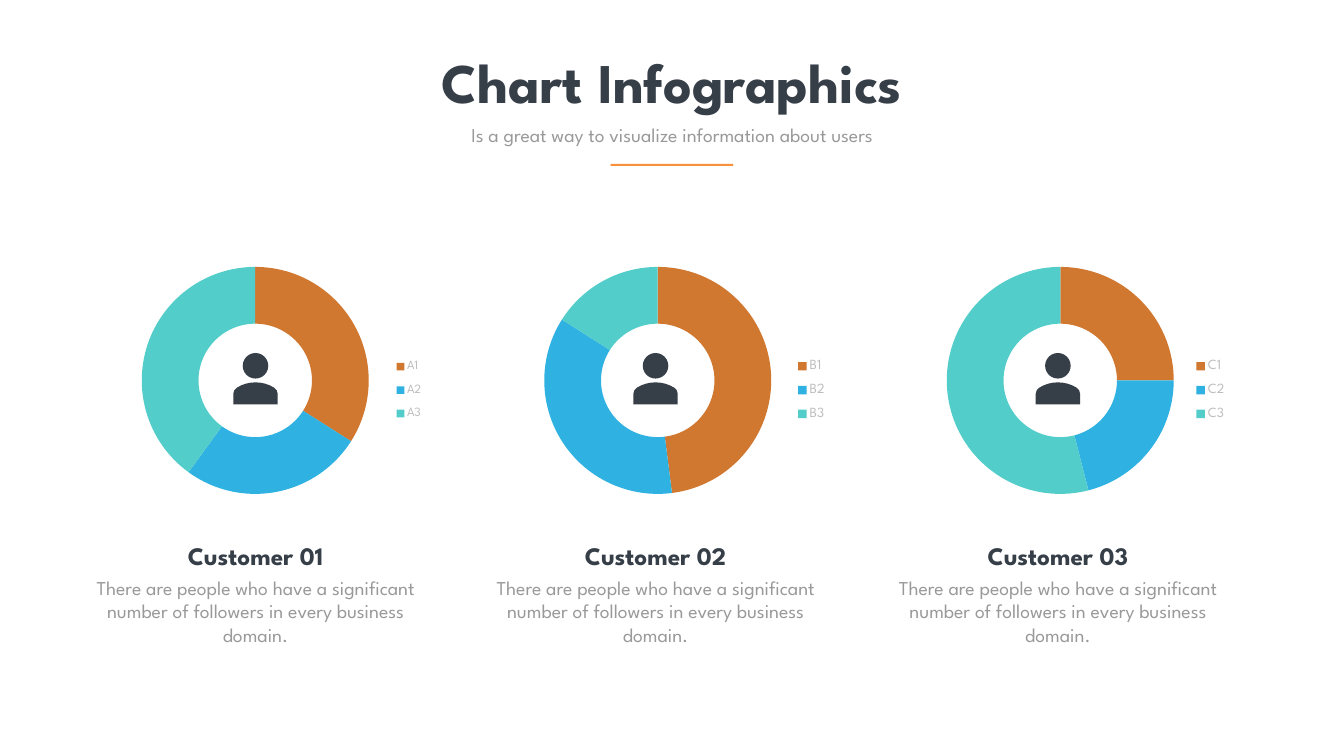
import pptx
import pptx.chart.data
import pptx.dml.color
import pptx.enum.chart
import pptx.enum.shapes
import pptx.enum.text
import pptx.oxml
import pptx.oxml.ns
import pptx.util

Pt = pptx.util.Pt
FONT = "League Spartan"
DARK, GREY, PALE, ACCENT = "363E48", "999999", "BDBDBD", "FB903A"
SLICE_COLOURS = ("D07730", "2FB2E1", "53CDCA")
DESCRIPTION = "There are people who have a significant number of followers in every business domain."


def colour(value):
    return pptx.dml.color.RGBColor.from_string(value)


def style_font(font, size, value, bold=False):
    font.name = FONT
    font.size = Pt(size)
    font.bold = bold
    font.color.rgb = colour(value)


def fill_plain(shape, value):
    shape.shadow.inherit = False
    shape.fill.solid()
    shape.fill.fore_color.rgb = colour(value)
    shape.line.fill.background()


def place(shape, left, top, width, height):
    shape.left, shape.top = Pt(left), Pt(top)
    shape.width, shape.height = Pt(width), Pt(height)


def write_centred(shape, text, size, value, bold=False):
    frame = shape.text_frame
    frame.text = text
    frame.word_wrap = True
    frame.auto_size = pptx.enum.text.MSO_AUTO_SIZE.SHAPE_TO_FIT_TEXT
    frame.vertical_anchor = pptx.enum.text.MSO_ANCHOR.TOP
    paragraph = frame.paragraphs[0]
    paragraph.alignment = pptx.enum.text.PP_ALIGN.CENTER
    style_font(paragraph.runs[0].font, size, value, bold)


def add_label(slide, box, text, size, value, bold=False):
    label = slide.shapes.add_textbox(*map(Pt, box))
    write_centred(label, text, size, value, bold)


def add_header(slide, left, top, width):
    title = slide.shapes.title
    place(title, left, top, width, 104.4)
    write_centred(title, "Chart Infographics", 80, DARK, True)
    add_label(slide, (left + 120, top + 107.4, width - 240, 41),
              "Is a great way to visualize information about users", 28, GREY)
    rule_width = 175
    rule = slide.shapes.add_shape(
        pptx.enum.shapes.MSO_SHAPE.RECTANGLE,
        Pt(left + (width - rule_width) / 2), Pt(top + 170), Pt(rule_width), Pt(3))
    fill_plain(rule, ACCENT)


def manual_layout(x, y, width, height, inner=False):
    target = '<c:layoutTarget val="inner"/>' if inner else ""
    return pptx.oxml.parse_xml(
        f'<c:layout {pptx.oxml.ns.nsdecls("c")}><c:manualLayout>{target}'
        '<c:xMode val="edge"/><c:yMode val="edge"/>'
        f'<c:x val="{x}"/><c:y val="{y}"/><c:w val="{width}"/><c:h val="{height}"/>'
        '</c:manualLayout></c:layout>')


def add_doughnut(slide, left, top, letter, values, size, legend_x):
    data = pptx.chart.data.CategoryChartData()
    data.categories = [f"{letter}{number}" for number in (1, 2, 3)]
    data.add_series("Series 1", values)
    chart = slide.shapes.add_chart(
        pptx.enum.chart.XL_CHART_TYPE.DOUGHNUT,
        Pt(left), Pt(top), Pt(517), Pt(345), data).chart
    chart.has_title = False
    style_font(chart.font, size, GREY)
    chart.has_legend = True
    chart.legend.position = pptx.enum.chart.XL_LEGEND_POSITION.RIGHT
    chart.legend.include_in_layout = False
    style_font(chart.legend.font, size, PALE)

    plot = chart.plots[0]
    plot.vary_by_categories = True
    for index, value in enumerate(SLICE_COLOURS):
        slice_format = plot.series[0].points[index].format
        slice_format.fill.solid()
        slice_format.fill.fore_color.rgb = colour(value)
        slice_format.line.fill.background()

    chart_space = chart.element
    chart_space.xpath(".//c:holeSize")[0].set("val", "75")
    for layout in chart_space.xpath(".//c:plotArea/c:layout | .//c:legend/c:layout"):
        layout.getparent().remove(layout)
    chart_space.xpath(".//c:plotArea")[0].insert(
        0, manual_layout(0.13, 0.03, 0.63, 0.94, inner=True))
    chart_space.xpath(".//c:legendPos")[0].addnext(
        manual_layout(legend_x, 0.37, 0.1, 0.34))


def bend(segments):
    curve = pptx.oxml.parse_xml(f'<a:cubicBezTo {pptx.oxml.ns.nsdecls("a")}/>')
    segments[0].addprevious(curve)
    for segment in segments:
        curve.append(segment[0])
        segment.getparent().remove(segment)
    return curve


def add_shoulders(slide, left, top, width, height):
    outline = [
        (58.4, 7.9),
        (42.5, 0), (20.9, 0), (5, 7.9),
        (2.2, 9.4), (0, 13), (0, 16.6),
        (0, height), (width, height), (width, 16.6),
        (width, 13), (61.2, 9.4), (58.4, 7.9),
    ]
    points = [(Pt(left + x), Pt(top + y)) for x, y in outline]
    builder = slide.shapes.build_freeform(*points[0])
    builder.add_line_segments(points[1:], close=True)
    shoulders = builder.convert_to_shape()
    lines = shoulders.element.xpath(".//a:lnTo")
    neckline = bend(lines[0:3])
    bend(lines[3:6])
    bend(lines[9:12])
    for control in neckline[:2]:
        control.set("y", str(Pt(-2.3)))
    fill_plain(shoulders, DARK)


def add_person(slide, left, top):
    width, head_size = 63.4, 36.5
    add_shoulders(slide, left, top + 41.7, width, 31.7)
    head = slide.shapes.add_shape(
        pptx.enum.shapes.MSO_SHAPE.OVAL, Pt(left + (width - head_size) / 2),
        Pt(top), Pt(head_size), Pt(head_size))
    fill_plain(head, DARK)


def add_customer(slide, left, top, chart_left, number, chart_details):
    width = 494
    add_doughnut(slide, chart_left, top, *chart_details)
    add_person(slide, left + 215.3, top + 133.3)
    add_label(slide, (left, top + 447.8, width, 143), DESCRIPTION, 28, GREY)
    add_label(slide, (left, top + 396.7, width, 51), f"Customer {number:02}", 36, DARK, True)


def main():
    presentation = pptx.Presentation()
    presentation.slide_width, presentation.slide_height = Pt(1920), Pt(1080)
    slide = presentation.slides.add_slide(presentation.slide_layouts[5])
    add_header(slide, 495, 64, 930)
    customers = (
        (118, ("A", (34, 26, 40), 18, 0.82)),
        (689.5, ("B", (48, 36, 16), 20, 0.82)),
        (1264.3, ("C", (25, 21, 54), 20, 0.81)),
    )
    for index, (left, chart_details) in enumerate(customers):
        add_customer(slide, left, 371, 134.6 + 575 * index, index + 1, chart_details)
    presentation.save("out.pptx")


if __name__ == "__main__":
    main()
